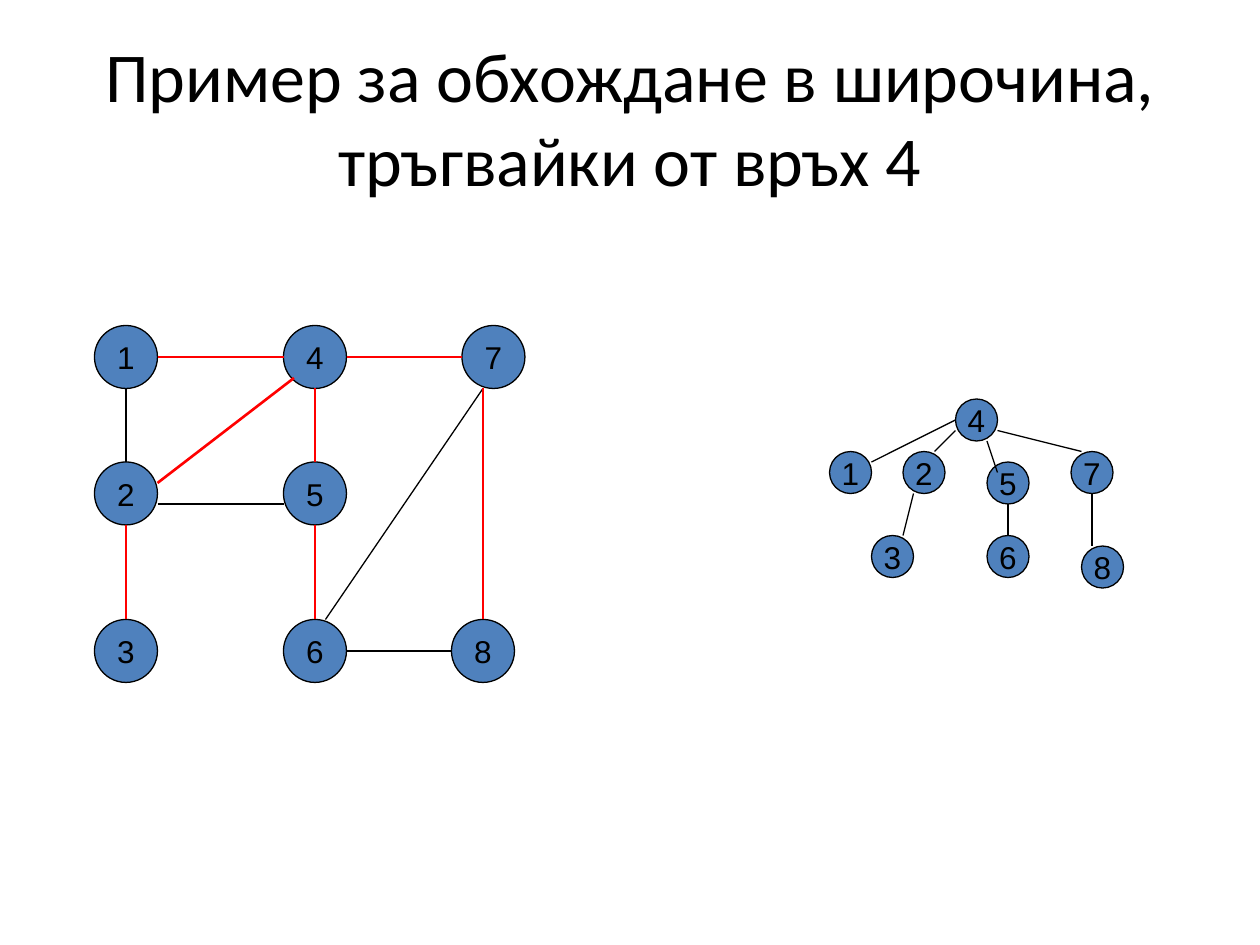
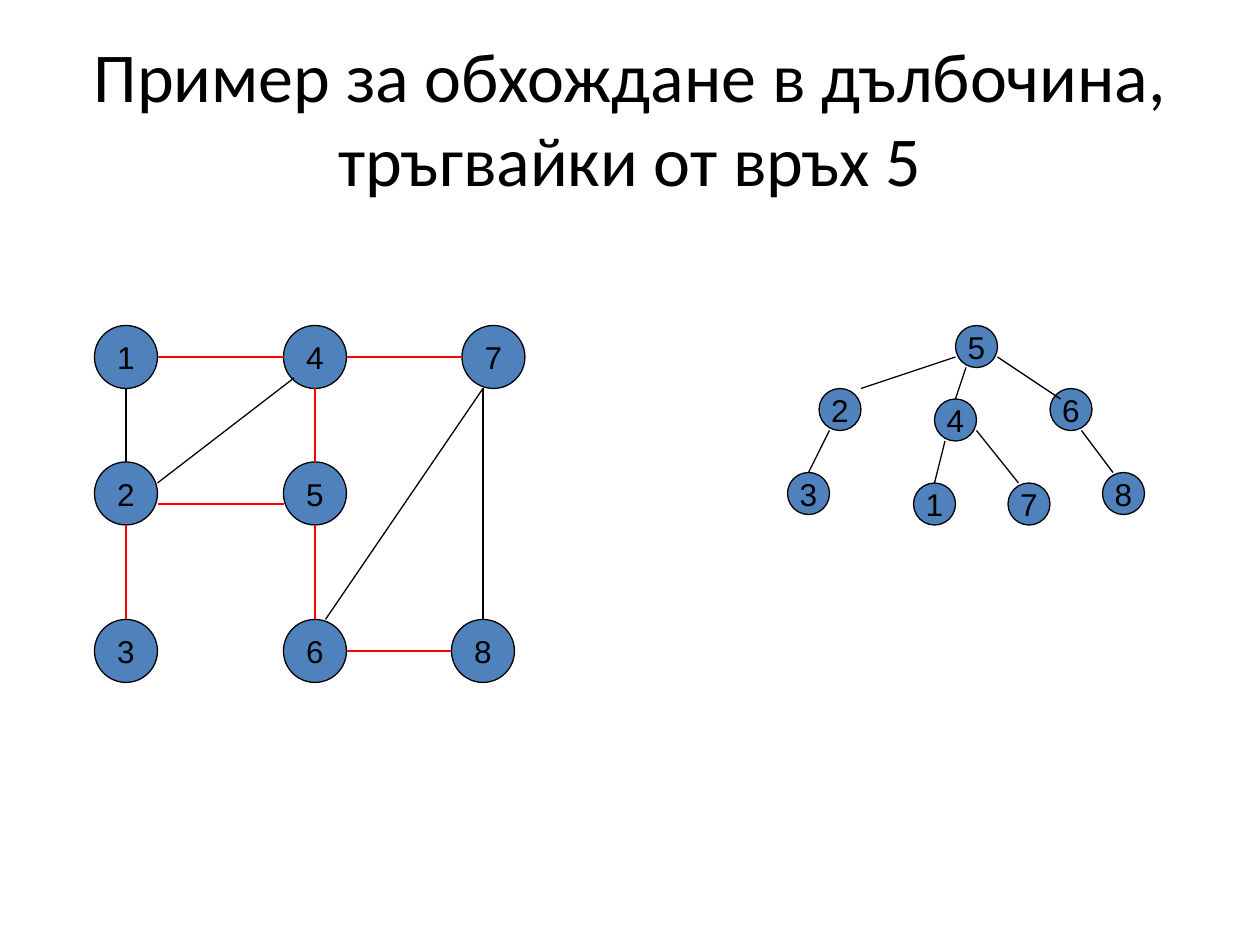
"""Build two slides that show breadth-first and depth-first graph traversal."""
import lxml.etree
import pptx
import pptx.dml.color
import pptx.enum.shapes
import pptx.enum.text
import pptx.oxml.ns
import pptx.util

Pt = pptx.util.Pt
HUES = {"node": "4F81BD", "ink": "000000", "path": "FF0000"}
STEP = 6

GRAPH = {
    "box": (54, 186),
    "size": 36,
    "nodes": {1: (0, 0), 2: (0, 13), 3: (0, 28), 4: (18, 0),
              5: (18, 13), 6: (18, 28), 7: (35, 0), 8: (34, 28)},
    "edges": {(1, 2): (3, 6, 3, 13), (2, 3): (3, 19, 3, 28),
              (2, 4): (6, 15, 19, 5), (1, 4): (6, 3, 18, 3),
              (4, 5): (21, 6, 21, 13), (5, 6): (21, 19, 21, 28),
              (6, 7): (22, 28, 37, 6), (7, 8): (37, 6, 37, 28),
              (6, 8): (24, 31, 34, 31), (4, 7): (24, 3, 35, 3),
              (2, 5): (6, 17, 18, 17)},
}
BROAD = {
    "box": (474, 228),
    "size": 24,
    "nodes": {1: (0, 5), 2: (7, 5), 3: (4, 13), 4: (12, 0),
              5: (15, 6), 6: (15, 13), 7: (23, 5), 8: (24, 14)},
    "edges": {(1, 4): (12, 2, 4, 6), (2, 3): (8, 9, 7, 13),
              (7, 8): (25, 9, 25, 14), (5, 6): (17, 10, 17, 13),
              (4, 5): (15, 4, 16, 7), (2, 4): (12, 3, 10, 5),
              (4, 7): (16, 3, 24, 5)},
}
DEEP = {
    "box": (450, 186),
    "size": 24,
    "nodes": {1: (12, 15), 2: (3, 6), 3: (0, 14), 4: (14, 7),
              5: (16, 0), 6: (25, 6), 7: (21, 15), 8: (30, 14)},
    "edges": {(1, 4): (15, 11, 14, 15), (4, 5): (17, 4, 16, 7),
              (6, 8): (28, 10, 31, 14), (5, 6): (20, 3, 26, 7),
              (2, 5): (16, 3, 7, 6), (2, 3): (4, 10, 2, 14),
              (4, 7): (18, 10, 22, 15)},
}
PAGES = [
    ("Пример за обхождане в широчина, тръгвайки от връх 4", BROAD),
    ("Пример за обхождане в дълбочина, тръгвайки от връх 5", DEEP),
]


def tint(name):
    """Return the named colour."""
    return pptx.dml.color.RGBColor.from_string(HUES[name])


def write(shape, text, size=18, font="Arial", hue="ink", wrap=False):
    """Put centred text into a shape with the given format."""
    frame = shape.text_frame
    frame.text = text
    frame.auto_size = pptx.enum.text.MSO_AUTO_SIZE.NONE
    frame.word_wrap = wrap
    frame.vertical_anchor = pptx.enum.text.MSO_ANCHOR.MIDDLE
    line = frame.paragraphs[0]
    line.alignment = pptx.enum.text.PP_ALIGN.CENTER
    face = line.runs[0].font
    face.size, face.name = Pt(size), font
    face.color.rgb = tint(hue)


def head(slide, text, box):
    """Place and fill the title."""
    title = slide.shapes.title
    title.left, title.top, title.width, title.height = map(Pt, box)
    write(title, text, size=40, font="Calibri", wrap=True)


def node(slide, label, left, top, size):
    """Draw one numbered vertex."""
    kind = pptx.enum.shapes.MSO_SHAPE.OVAL
    disc = slide.shapes.add_shape(kind, Pt(left), Pt(top), Pt(size), Pt(size))
    disc.shadow.inherit = False
    disc.fill.solid()
    disc.fill.fore_color.rgb = tint("node")
    disc.line.color.rgb = tint("ink")
    disc.line.width = Pt(0.75)
    write(disc, str(label))


def edge(slide, ends, marked):
    """Draw one edge, red and thick if it is on the path."""
    kind = pptx.enum.shapes.MSO_CONNECTOR.STRAIGHT
    link = slide.shapes.add_connector(kind, *map(Pt, ends))
    link.line.color.rgb = tint("path" if marked else "ink")
    link.line.width = Pt(1.5 if marked else 0.75)
    props = link.element.spPr
    lxml.etree.SubElement(props, pptx.oxml.ns.qn("a:effectLst"))


def net(slide, plan, path=()):
    """Draw the vertices and edges of a plan within its box."""
    left, top = plan["box"]
    for label, (col, row) in plan["nodes"].items():
        node(slide, label, left + col * STEP, top + row * STEP, plan["size"])
    for pair, (x1, y1, x2, y2) in plan["edges"].items():
        ends = (left + x1 * STEP, top + y1 * STEP,
                left + x2 * STEP, top + y2 * STEP)
        edge(slide, ends, pair in path)


def page(deck, text, tree):
    """Add a slide with the graph and its traversal tree."""
    slide = deck.slides.add_slide(deck.slide_layouts[5])
    head(slide, text, (36, 21.6, 648, 90))
    net(slide, GRAPH, path=tree["edges"])
    net(slide, tree)


def main():
    """Build and save the deck."""
    deck = pptx.Presentation()
    deck.slide_width, deck.slide_height = Pt(720), Pt(540)
    for text, tree in PAGES:
        page(deck, text, tree)
    deck.save("out.pptx")


if __name__ == "__main__":
    main()
